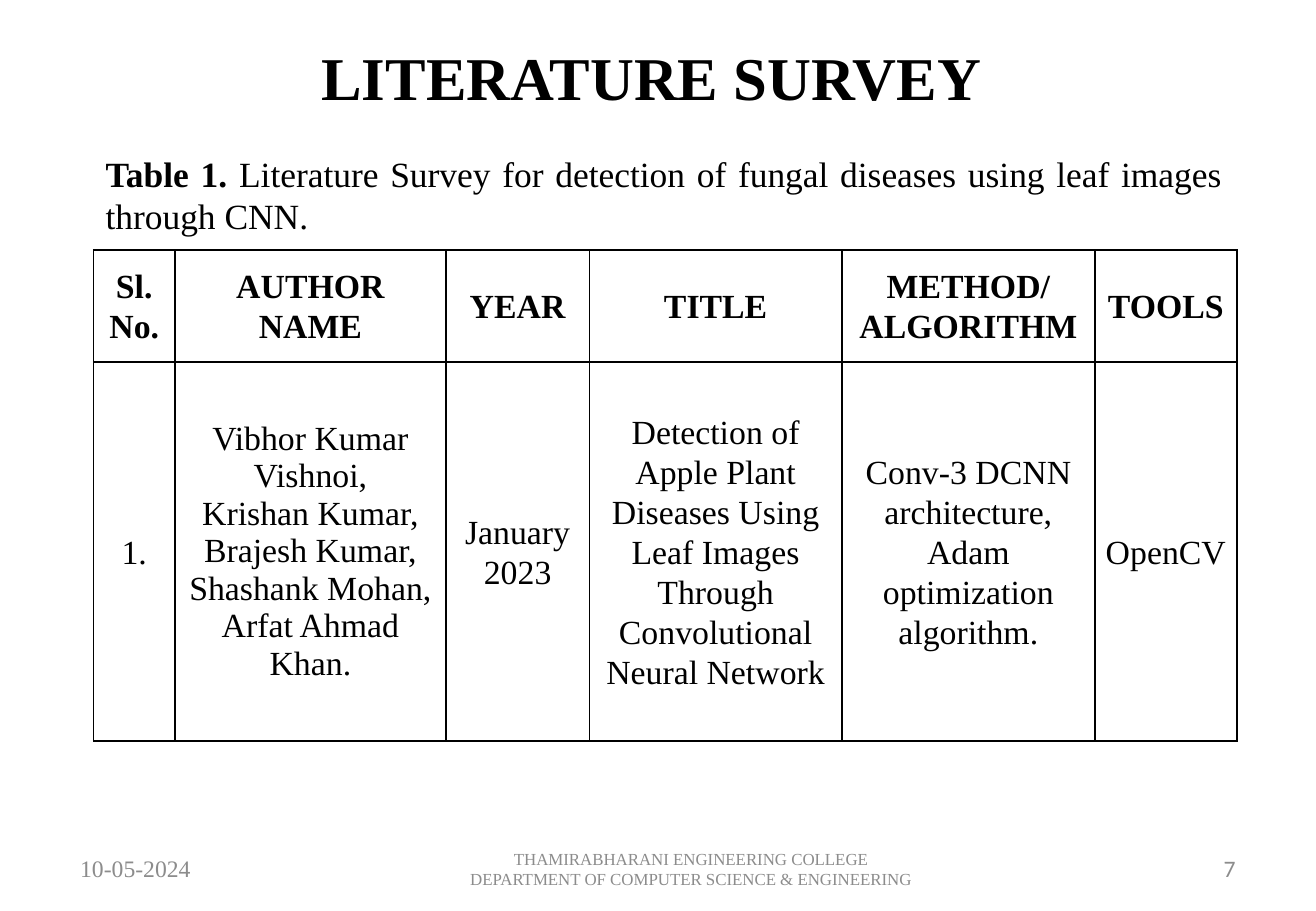
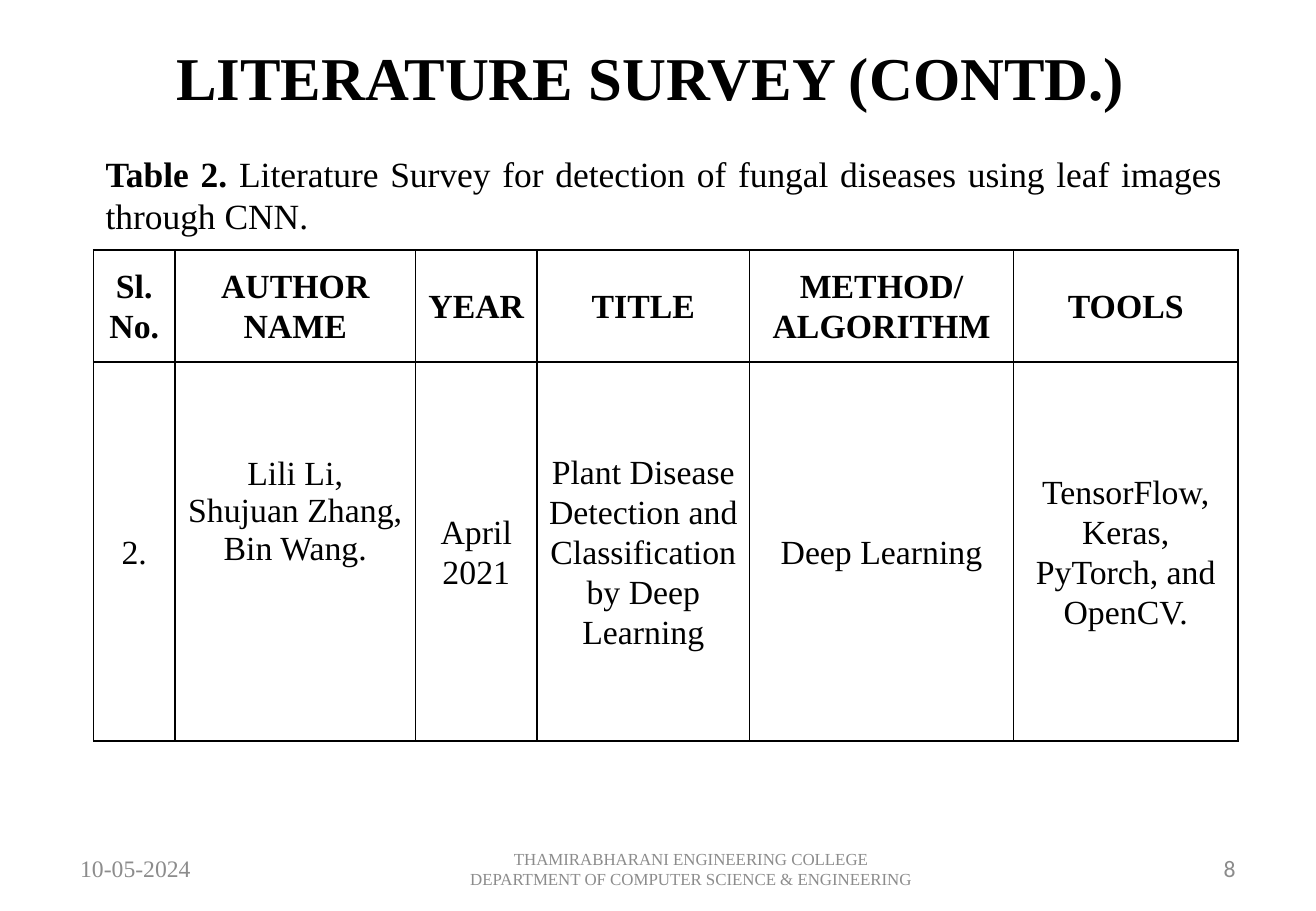
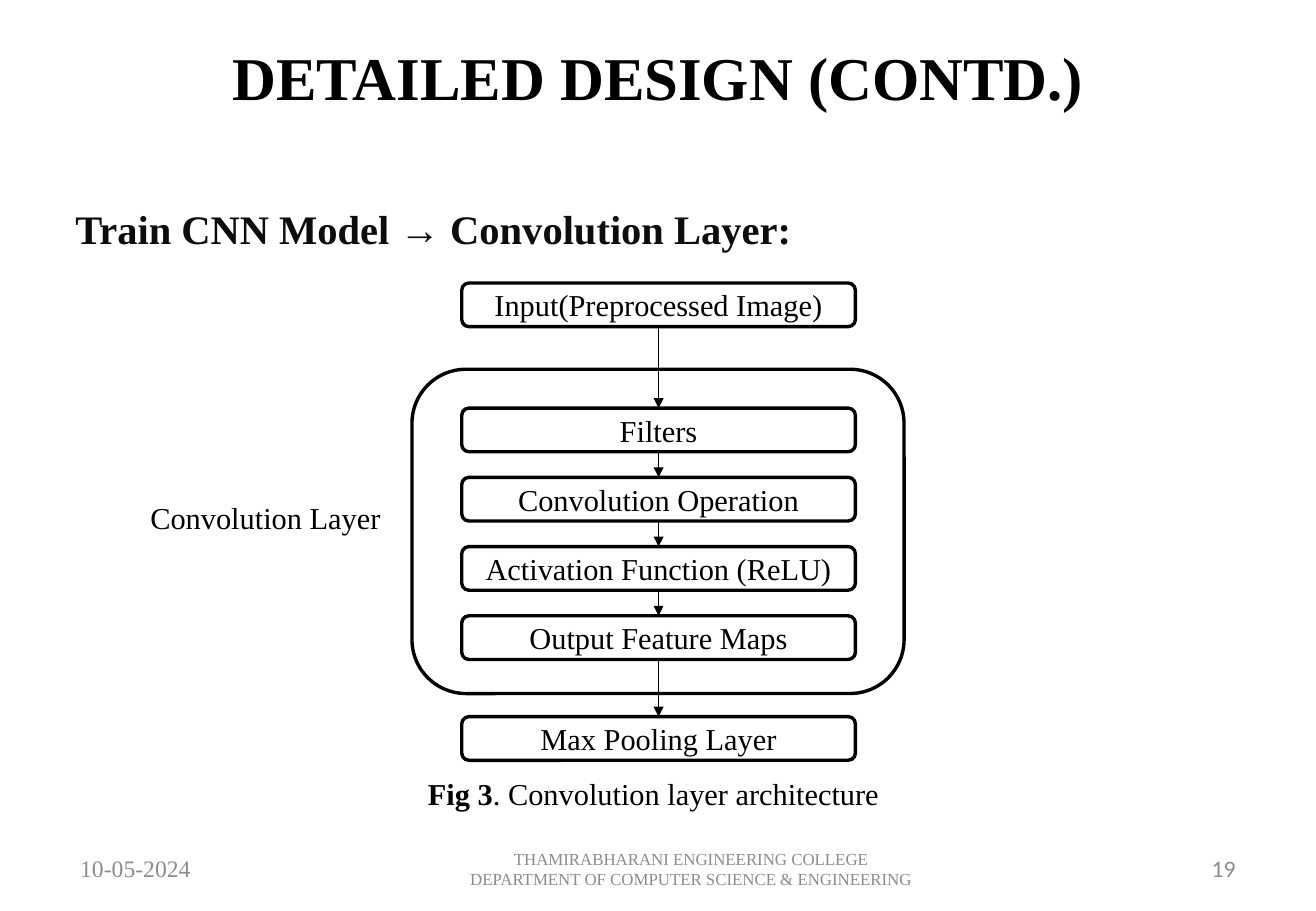
from lxml import etree
from pptx import Presentation
from pptx.dml.color import RGBColor
from pptx.enum.shapes import MSO_CONNECTOR, MSO_SHAPE
from pptx.enum.text import MSO_ANCHOR, MSO_AUTO_SIZE, PP_ALIGN
from pptx.oxml.ns import qn
from pptx.util import Inches, Pt

LEFT, CENTER, RIGHT, JUSTIFY = PP_ALIGN.LEFT, PP_ALIGN.CENTER, PP_ALIGN.RIGHT, PP_ALIGN.JUSTIFY
TOP, MIDDLE = MSO_ANCHOR.TOP, MSO_ANCHOR.MIDDLE
NO_AUTOFIT = MSO_AUTO_SIZE.NONE
ROUNDED = MSO_SHAPE.ROUNDED_RECTANGLE
STRAIGHT = MSO_CONNECTOR.STRAIGHT
SITE_TOP, SITE_BOTTOM = 0, 2

COLORS = {"ink": "000000", "heading": "0D0D0D", "footer": "8C8C8C", "paper": "FFFFFF"}
SERIF, SANS = "Times New Roman", "Calibri"
PAGE_WIDTH, PAGE_HEIGHT = 10.83, 7.5
WIDE_INSETS = (0.12, 0.06)
BOX_INSETS = (0.1, 0.05)
CELL_INSETS = (0.07, 0)

DATE = "10-05-2024"
COLLEGE = "THAMIRABHARANI ENGINEERING COLLEGE DEPARTMENT OF COMPUTER SCIENCE & ENGINEERING"
SURVEY_CAPTION = "Literature Survey for detection of fungal diseases using leaf images through CNN."
SURVEY_HEADER = ["Sl. No.", "AUTHOR NAME", "YEAR", "TITLE", "METHOD/\nALGORITHM", "TOOLS"]
SURVEY_ROWS = [0.92, 3.12]
AUTHOR_COLUMN = 1


def color(name):
    return RGBColor.from_string(COLORS[name])


class SlideWriter:
    def __init__(self, deck):
        self.deck = deck
        self.page = None

    def format_text(self, frame, size, ink="ink", font=SERIF, bold=False, align=LEFT, spacing=1.0):
        for para in frame.paragraphs:
            para.alignment = align
            para.line_spacing = spacing
            for span in para.runs:
                span.font.size = Pt(size)
                span.font.name = font
                span.font.bold = bold
                span.font.color.rgb = color(ink)

    def set_frame(self, frame, anchor, insets):
        frame.word_wrap = True
        frame.auto_size = NO_AUTOFIT
        frame.vertical_anchor = anchor
        frame.margin_left = frame.margin_right = Inches(insets[0])
        frame.margin_top = frame.margin_bottom = Inches(insets[1])

    def new_page(self, title, number):
        self.page = self.deck.slides.add_slide(self.deck.slide_layouts[5])
        box = self.page.shapes.title
        box.left, box.top = Inches(0), Inches(0)
        box.width, box.height = Inches(PAGE_WIDTH), Inches(1.25)
        box.text_frame.text = title
        self.set_frame(box.text_frame, MIDDLE, WIDE_INSETS)
        self.format_text(box.text_frame, 36, bold=True, align=CENTER)
        for left, width, text, size, font, align in [
            (0.54, 2.53, DATE, 14, SERIF, LEFT),
            (3.7, 3.97, COLLEGE, 10, SERIF, CENTER),
            (7.76, 2.53, str(number), 14, SANS, RIGHT),
        ]:
            self.text(text, left, 6.95, width, 0.4, size, anchor=MIDDLE, insets=WIDE_INSETS,
                      ink="footer", font=font, align=align)

    def text(self, text, left, top, width, height, size, anchor=TOP, insets=BOX_INSETS, **style):
        box = self.page.shapes.add_textbox(Inches(left), Inches(top), Inches(width), Inches(height))
        box.text_frame.text = text
        self.set_frame(box.text_frame, anchor, insets)
        self.format_text(box.text_frame, size, **style)
        return box

    def caption(self, label, text, left, top, width, height, size, anchor, align):
        box = self.text(label, left, top, width, height, size, anchor)
        box.text_frame.paragraphs[0].add_run().text = text
        self.format_text(box.text_frame, size, align=align)
        box.text_frame.paragraphs[0].runs[0].font.bold = True

    def box(self, text, left, top, width, height, filled=True):
        box = self.page.shapes.add_shape(
            ROUNDED, Inches(left), Inches(top), Inches(width), Inches(height))
        box.shadow.inherit = False
        if filled:
            box.fill.solid()
            box.fill.fore_color.rgb = color("paper")
        else:
            box.fill.background()
        box.line.color.rgb = color("ink")
        box.line.width = Pt(2)
        if text:
            box.text_frame.text = text
            self.set_frame(box.text_frame, MIDDLE, BOX_INSETS)
            self.format_text(box.text_frame, 18, align=CENTER)
        return box

    def arrow(self, upper, lower):
        arrow = self.page.shapes.add_connector(STRAIGHT, 0, 0, 0, 0)
        arrow.begin_connect(upper, SITE_BOTTOM)
        arrow.end_connect(lower, SITE_TOP)
        arrow.line.color.rgb = color("ink")
        arrow.line.width = Pt(0.75)
        etree.SubElement(arrow.line._get_or_add_ln(), qn("a:tailEnd"), type="triangle")
        etree.SubElement(arrow._element.spPr, qn("a:effectLst"))

    def border(self, cell):
        properties = cell._tc.get_or_add_tcPr()
        for side in ("a:lnL", "a:lnR", "a:lnT", "a:lnB"):
            line = etree.SubElement(properties, qn(side), w=str(Pt(1)))
            fill = etree.SubElement(line, qn("a:solidFill"))
            etree.SubElement(fill, qn("a:srgbClr"), val=COLORS["ink"])

    def table(self, rows, left, top, widths, heights):
        table = self.page.shapes.add_table(
            len(rows), len(widths), Inches(left), Inches(top),
            Inches(sum(widths)), Inches(sum(heights))).table
        table.first_row = table.horz_banding = False
        for column, width in zip(table.columns, widths):
            column.width = Inches(width)
        for row_index, (values, height) in enumerate(zip(rows, heights)):
            table.rows[row_index].height = Inches(height)
            for column_index, value in enumerate(values):
                cell = table.cell(row_index, column_index)
                cell.text_frame.text = value
                cell.vertical_anchor = MIDDLE
                cell.margin_left = cell.margin_right = Inches(CELL_INSETS[0])
                cell.margin_top = cell.margin_bottom = Inches(CELL_INSETS[1])
                self.border(cell)
                cell.fill.background()
                is_header = row_index == 0
                is_author = column_index == AUTHOR_COLUMN and not is_header
                self.format_text(cell.text_frame, 20, bold=is_header, align=CENTER,
                                 spacing=1.0 if is_author else 1.07)
        return table

    def survey(self, title, number, label, widths, entry):
        self.new_page(title, number)
        table = self.table([SURVEY_HEADER, entry], 0.77, 2.06, widths, SURVEY_ROWS)
        self.caption(label, SURVEY_CAPTION, 0.77, 1.2, 9.39, 0.81, 21, TOP, JUSTIFY)
        return table


def design_page(writer):
    writer.new_page("DETAILED DESIGN (CONTD.)", 19)
    writer.text("Train CNN Model → Convolution Layer:", 0.5, 1.42, 9.75, 0.8, 24,
                insets=WIDE_INSETS, ink="heading", bold=True, align=JUSTIFY, spacing=1.5)
    writer.box("", 3.39, 3.04, 4.05, 2.67, filled=False)
    layer_steps = ["Filters", "Convolution Operation", "Activation Function (ReLU)",
                   "Output Feature Maps"]
    steps = [("Input(Preprocessed Image)", 2.33)]
    steps += [(name, 3.36 + 0.57 * index) for index, name in enumerate(layer_steps)]
    steps += [("Max Pooling Layer", 5.9)]
    boxes = [writer.box(name, 3.8, top, 3.24, 0.36) for name, top in steps]
    for upper, lower in zip(boxes, boxes[1:]):
        writer.arrow(upper, lower)
    writer.text("Convolution Layer", 1.06, 4.08, 2.25, 0.36, 18, anchor=MIDDLE, align=CENTER)
    writer.caption("Fig 3", ". Convolution layer architecture ", 2.37, 6.36, 6.08, 0.35, 18,
                   MIDDLE, CENTER)


def main():
    deck = Presentation()
    deck.slide_width, deck.slide_height = Inches(PAGE_WIDTH), Inches(PAGE_HEIGHT)
    writer = SlideWriter(deck)
    writer.survey(
        "LITERATURE SURVEY ", 7, "Table 1. ", [0.67, 2.23, 1.18, 2.08, 2.08, 1.17],
        ["1.",
         "Vibhor Kumar Vishnoi,\nKrishan Kumar,\nBrajesh Kumar,\nShashank Mohan,\nArfat Ahmad Khan.",
         "January 2023",
         "Detection of Apple Plant Diseases Using Leaf Images Through Convolutional Neural Network",
         "Conv-3 DCNN architecture, Adam optimization algorithm.",
         "OpenCV"])
    table = writer.survey(
        "LITERATURE SURVEY (CONTD.) ", 8, "Table 2. ", [0.67, 1.98, 1, 1.75, 2.17, 1.85],
        ["2.",
         "Lili Li,\nShujuan Zhang,\nBin Wang.",
         "April 2021",
         "Plant Disease Detection and Classification by Deep Learning",
         "Deep Learning",
         "TensorFlow, Keras, PyTorch, and OpenCV."])
    table.cell(1, AUTHOR_COLUMN).margin_bottom = Inches(0.66)
    design_page(writer)
    deck.save("out.pptx")


if __name__ == "__main__":
    main()
